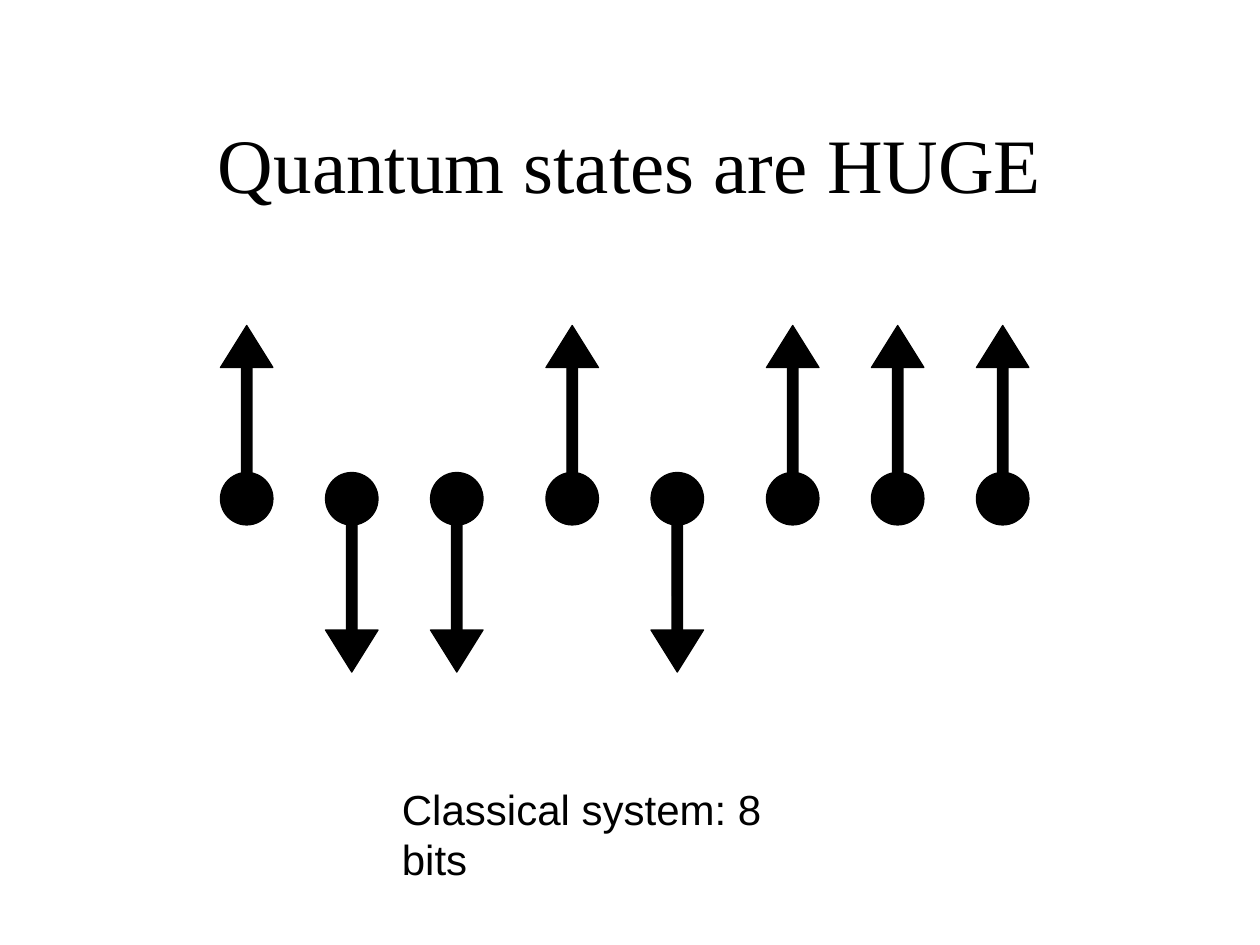
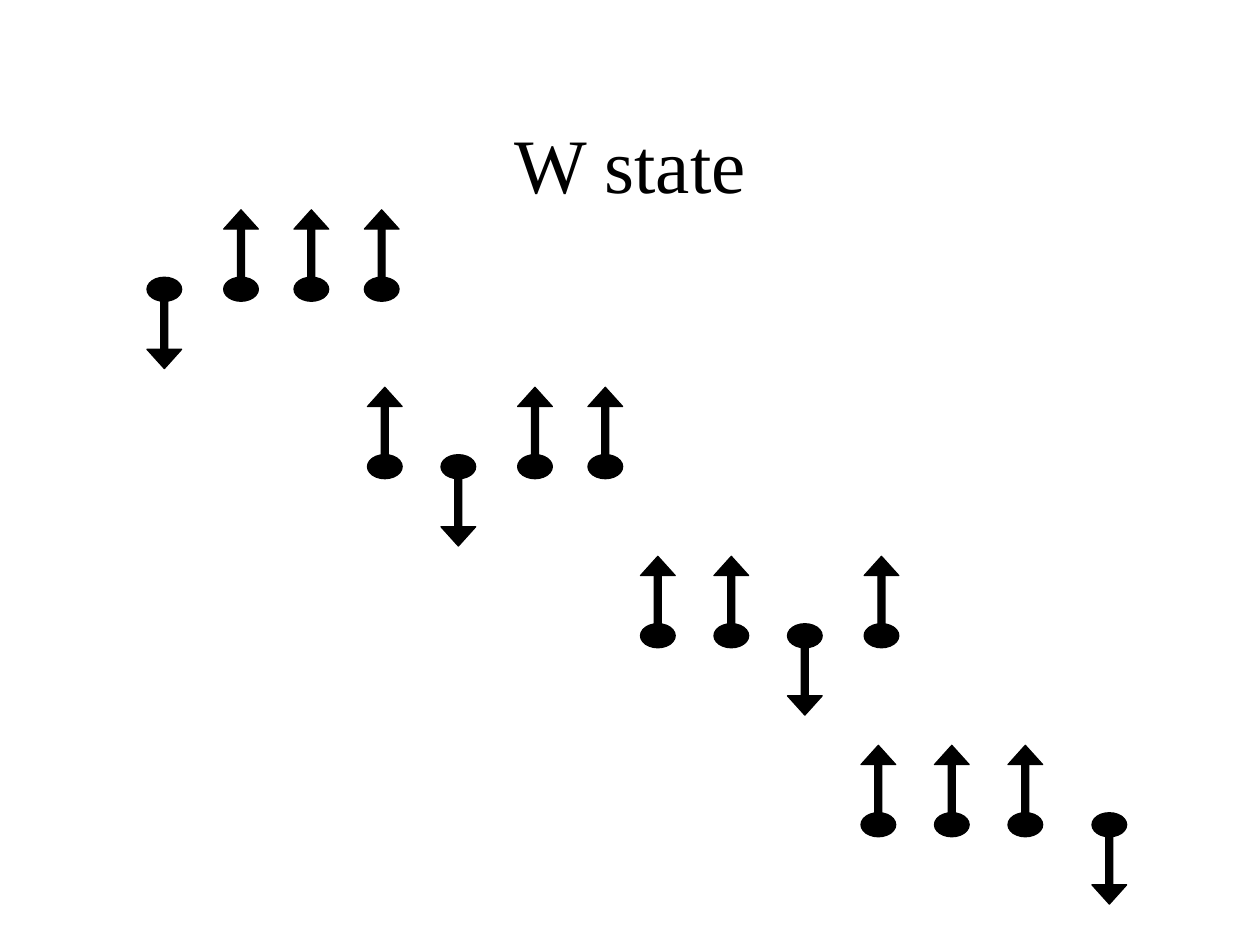
from pptx import Presentation
from pptx.dml.color import RGBColor
from pptx.enum.shapes import MSO_SHAPE as Preset
from pptx.enum.text import MSO_ANCHOR as Anchor, MSO_AUTO_SIZE as AutoSize, PP_ALIGN as Align
from pptx.util import Emu, Pt

PX = 7620
SLIDE_SIZE = (1200, 900)
TITLE_BOX = (90, 80, 1020, 150)
TITLE_FONT = "Times New Roman"
BODY_FONT = "Arial"
INK = "000000"
PAPER = "FFFFFF"

SPIN_GRID = (50, 190)
DOT_TOP = 140
SPIN_PARTS = [
    (Preset.OVAL, 0, DOT_TOP, 50, 50),
    (Preset.ISOSCELES_TRIANGLE, 0, 0, 50, 40),
    (Preset.ROUNDED_RECTANGLE, 20, 30, 10, 130),
]

BIT_LEFTS = [210, 310, 410, 520, 620, 730, 830, 930]
BIT_SPINS = "↑↓↓↑↓↑↑↑"
W_SPIN_SIZE = (33, 87)
W_TERMS = [
    (264, [140, 213, 280, 347], "↓↑↑↑"),
    (433, [350, 420, 493, 560], "↑↓↑↑"),
    (594, [610, 680, 750, 823], "↑↑↓↑"),
    (774, [820, 890, 960, 1040], "↑↑↑↓"),
]


def emu(length):
    return Emu(round(length * PX))


def color(value):
    return RGBColor.from_string(value)


def add_text(frame, text, font_name, size, align):
    para = frame.paragraphs[0]
    para.alignment = align
    span = para.add_run()
    span.text = text
    span.font.name = font_name
    span.font.size = Pt(size)
    span.font.color.rgb = color(INK)


def add_page(deck, title_text):
    page = deck.slides.add_slide(deck.slide_layouts[5])
    page.background.fill.solid()
    page.background.fill.fore_color.rgb = color(PAPER)
    title = page.shapes.title
    title.left, title.top, title.width, title.height = map(emu, TITLE_BOX)
    frame = title.text_frame
    frame.vertical_anchor = Anchor.MIDDLE
    frame.auto_size = AutoSize.NONE
    add_text(frame, title_text, TITLE_FONT, 44, Align.CENTER)
    return page


def add_spin(group, left, dot_top, size, direction):
    across = size[0] / SPIN_GRID[0]
    down = size[1] / SPIN_GRID[1]
    points_up = direction == "↑"
    spin_top = dot_top - DOT_TOP * down if points_up else dot_top
    for preset, x, y, width, height in SPIN_PARTS:
        part_y = y if points_up else SPIN_GRID[1] - y - height
        part = group.shapes.add_shape(
            preset, emu(left + x * across), emu(spin_top + part_y * down),
            emu(width * across), emu(height * down))
        part.rotation = 0 if points_up else 180
        part.shadow.inherit = False
        part.fill.solid()
        part.fill.fore_color.rgb = color(INK)
        part.line.color.rgb = color(INK)
        part.line.width = Pt(0.75)


def add_caption(page, box, text):
    caption = page.shapes.add_textbox(*map(emu, box))
    frame = caption.text_frame
    frame.word_wrap = False
    frame.auto_size = AutoSize.SHAPE_TO_FIT_TEXT
    add_text(frame, text, BODY_FONT, 24, Align.LEFT)


def build_classical_page(deck):
    page = add_page(deck, "Quantum states are HUGE")
    for left, direction in zip(BIT_LEFTS, BIT_SPINS):
        add_spin(page.shapes.add_group_shape(), left, 450, SPIN_GRID, direction)
    add_caption(page, (371, 740, 439, 60), "Classical system: 8 bits")


def build_w_state_page(deck):
    page = add_page(deck, "W state")
    for dot_top, lefts, directions in W_TERMS:
        term = page.shapes.add_group_shape()
        for left, direction in zip(lefts, directions):
            add_spin(term, left, dot_top, W_SPIN_SIZE, direction)


def main():
    deck = Presentation()
    deck.slide_width, deck.slide_height = map(emu, SLIDE_SIZE)
    build_classical_page(deck)
    build_w_state_page(deck)
    deck.save("out.pptx")


if __name__ == "__main__":
    main()
